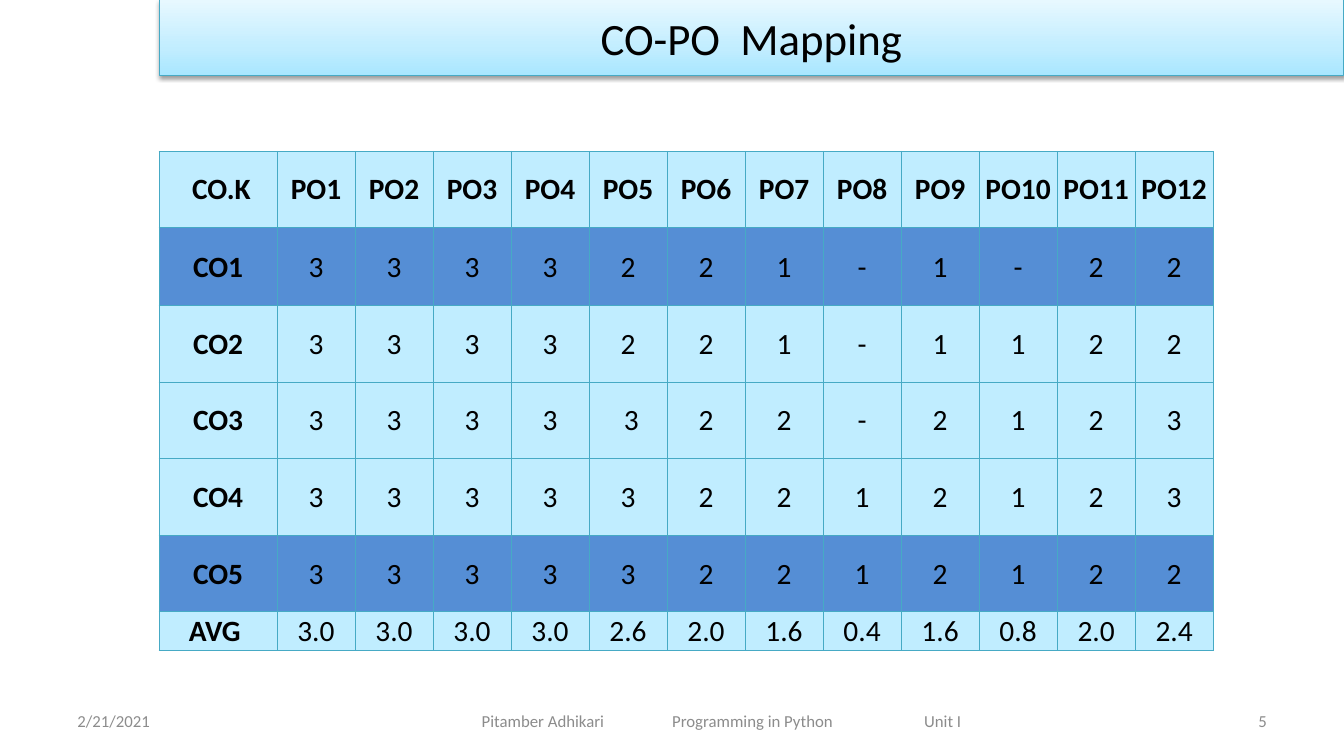
from copy import deepcopy

from lxml.etree import SubElement
from pptx import Presentation
from pptx.dml.color import RGBColor
from pptx.enum.shapes import MSO_SHAPE
from pptx.enum.text import MSO_ANCHOR, PP_ALIGN
from pptx.oxml import parse_xml
from pptx.oxml.ns import nsdecls, qn
from pptx.util import Cm, Pt

FONT = "Calibri"
BLACK = RGBColor(0x00, 0x00, 0x00)
GREY = RGBColor(0x8C, 0x8C, 0x8C)
TEAL = RGBColor(0x46, 0xAA, 0xC5)
BLUE = RGBColor(0x55, 0x8E, 0xD5)
PALE = RGBColor(0xC0, 0xED, 0xFF)
# Title gradient, from bottom to top
FADE = [(0, RGBColor(0xA7, 0xE6, 0xFF)),
        (0.35, RGBColor(0xC1, 0xED, 0xFF)),
        (1, RGBColor(0xE7, 0xF8, 0xFF))]

LEFT = Cm(4.01)
HEAD = [" CO.K"] + [f"PO{n}" for n in range(1, 13)]
ROWS = [
    "CO1,3,3,3,3,2,2,1,-,1,-,2,2",
    "CO2,3,3,3,3,2,2,1,-,1,1,2,2",
    "CO3,3,3,3,3, 3,2,2,-,2,1,2,3",
    "CO4,3,3,3,3,3,2,2,1,2,1,2,3",
    "CO5,3,3,3,3,3,2,2,1,2,1,2,2",
    "AVG ,3.0,3.0,3.0,3.0,2.6,2.0,1.6,0.4,1.6,0.8,2.0,2.4",
]
HIGHS = [1.93, 1.96, 1.93, 1.93, 1.93, 1.93, 0.97]
DARK = (1, 5)


def style(frame, size, color, align, bold=False):
    frame.vertical_anchor = MSO_ANCHOR.MIDDLE
    para = frame.paragraphs[0]
    para.alignment = align
    for run in para.runs:
        font = run.font
        font.name, font.size, font.bold = FONT, Pt(size), bold
        font.color.rgb = color


def add_title(slide, text):
    bar = slide.shapes.add_shape(MSO_SHAPE.RECTANGLE, LEFT, 0, Cm(29.86), Cm(1.91))
    # Three-stop gradient
    bar.fill.gradient()
    bar.fill.gradient_angle = 90
    stops = bar._element.spPr.find(qn("a:gradFill")).find(qn("a:gsLst"))
    stops.insert(1, deepcopy(stops[0]))
    for stop, (place, color) in zip(bar.fill.gradient_stops, FADE):
        stop.position = place
        stop.color.rgb = color
    bar.line.color.rgb = TEAL
    bar.line.width = Pt(0.75)
    # Soft shadow below
    bar.shadow.inherit = False
    glow = bar._element.spPr.find(qn("a:effectLst"))
    glow.append(parse_xml(
        f'<a:outerShdw {nsdecls("a")} blurRad="{Pt(3.1)}" dist="{Pt(1.6)}" '
        'dir="5400000" rotWithShape="0"><a:srgbClr val="000000">'
        '<a:alpha val="38000"/></a:srgbClr></a:outerShdw>'))
    bar.text_frame.text = text
    style(bar.text_frame, 32, BLACK, PP_ALIGN.CENTER)


def add_note(slide, left, width, text, align, inset=0.25, tabs=()):
    box = slide.shapes.add_textbox(Cm(left), Cm(17.65), Cm(width), Cm(1.01))
    frame = box.text_frame
    frame.word_wrap = True
    frame.margin_left = Cm(inset)
    frame.text = text
    if tabs:
        props = frame.paragraphs[0]._p.get_or_add_pPr()
        stops = SubElement(props, qn("a:tabLst"))
        for tab in tabs:
            SubElement(stops, qn("a:tab"), pos=str(Cm(tab)), algn="l")
    style(frame, 12, GREY, align)


def add_edges(cell):
    props = cell._tc.get_or_add_tcPr()
    for spot, side in enumerate(("lnL", "lnR", "lnT", "lnB")):
        props.insert(spot, parse_xml(
            f'<a:{side} {nsdecls("a")} w="{Pt(0.75)}"><a:solidFill>'
            f'<a:srgbClr val="{TEAL}"/></a:solidFill></a:{side}>'))


def add_grid(slide):
    data = [HEAD] + [row.split(",") for row in ROWS]
    table = slide.shapes.add_table(len(data), len(HEAD), LEFT, Cm(3.81),
                                   Cm(26.57), Cm(12.58)).table
    for index, col in enumerate(table.columns):
        col.width = Cm(23.6) // 12 if index else Cm(2.97)
    for row, high in zip(table.rows, HIGHS):
        row.height = Cm(high)
    for r, line in enumerate(data):
        for c, text in enumerate(line):
            cell = table.cell(r, c)
            cell.margin_left = cell.margin_right = cell.margin_top = Cm(0.02)
            cell.margin_bottom = 0
            cell.fill.solid()
            cell.fill.fore_color.rgb = BLUE if r in DARK else PALE
            add_edges(cell)
            cell.text_frame.text = text
            style(cell.text_frame, 21, BLACK, PP_ALIGN.CENTER, r == 0 or c == 0)
            cell.vertical_anchor = MSO_ANCHOR.MIDDLE


def main():
    deck = Presentation()
    deck.slide_width, deck.slide_height = Cm(33.87), Cm(19.05)
    slide = deck.slides.add_slide(deck.slide_layouts[6])

    # Footer
    add_note(slide, 1.7, 7.9, "2/21/2021", PP_ALIGN.LEFT)
    add_note(slide, 11.23, 13.97, "Pitamber Adhikari\tProgramming in Python\tUnit I",
             PP_ALIGN.LEFT, 0.91, (4.8, 11.15))
    add_note(slide, 24.28, 7.9, "5", PP_ALIGN.RIGHT)

    # Title and mapping table
    add_title(slide, "CO-PO  Mapping")
    add_grid(slide)
    deck.save("out.pptx")


if __name__ == "__main__":
    main()
